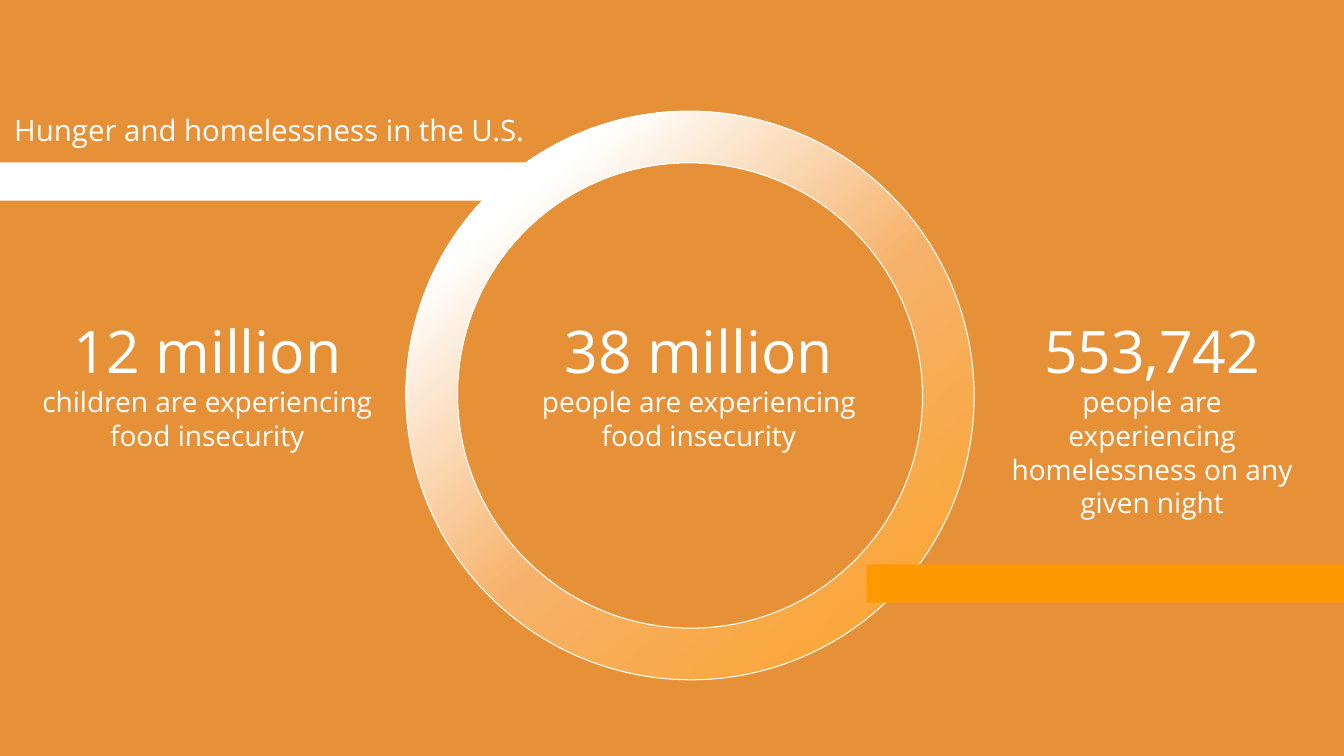
from lxml import etree
from pptx import Presentation
from pptx.dml.color import RGBColor
from pptx.enum.shapes import MSO_SHAPE
from pptx.enum.text import MSO_ANCHOR, MSO_AUTO_SIZE, PP_ALIGN
from pptx.oxml.ns import qn
from pptx.util import Cm, Pt

DONUT, RECTANGLE = MSO_SHAPE.DONUT, MSO_SHAPE.RECTANGLE
CENTER, MIDDLE = PP_ALIGN.CENTER, MSO_ANCHOR.MIDDLE
GROW = MSO_AUTO_SIZE.SHAPE_TO_FIT_TEXT

# Positions and sizes are in centimetres: left, top, width, height
TITLE = "Hunger and homelessness in the U.S."
TITLE_BOX = (0.36, 2.62, 13.44, 1.45)
STATS_TOP = 7.67
STATS = [  # figure, caption, left, width, height
    ("12 million", "children are experiencing food insecurity", 0.64, 9.17, 4.01),
    ("38 million", "people are experiencing food insecurity", 12.75, 9.73, 4.01),
    ("553,742", "people are experiencing homelessness on any given night",
     24.87, 8.33, 5.74),
]
RING_BOX = (10.24, 2.79, 14.3, 14.35)
RING_TILT = 319.8
RING_THICKNESS = 0.091
RING_STOPS = [(0, "FF9900"), (47, "F6B26B"), (73, "FFFFFF"), (100, "FFFFFF")]
BARS = [
    ((21.84, 14.22, 14.86, 0.97), "accent"),
    ((-1.9, 4.09, 15.37, 0.97), "light"),
]

THEME = {
    "font": "Open Sans",
    "background": RGBColor.from_string("E69138"),
    "accent": RGBColor.from_string("FF9900"),
    "light": RGBColor.from_string("FFFFFF"),
    "title": Pt(21),
    "figure": Pt(42),
    "caption": Pt(20),
    "outline": Pt(0.75),
}


def to_cm(box):
    return [Cm(length) for length in box]


def add_text(slide, box, lines, inset):
    """Add a wrapping text box; each line is a (text, theme size) pair."""
    frame = slide.shapes.add_textbox(*to_cm(box)).text_frame
    frame.word_wrap = True
    frame.margin_left = frame.margin_right = Cm(inset)
    frame.margin_top = frame.margin_bottom = Cm(inset)
    frame.text = "\n".join(text for text, _ in lines)
    for paragraph, (_, size) in zip(frame.paragraphs, lines):
        font = paragraph.runs[0].font
        font.name = THEME["font"]
        font.size = THEME[size]
        font.color.rgb = THEME["light"]
    return frame


def add_stat(slide, figure, caption, left, width, height):
    frame = add_text(slide, (left, STATS_TOP, width, height),
                     [(figure, "figure"), (caption, "caption")], inset=0.25)
    frame.auto_size = GROW
    for paragraph in frame.paragraphs:
        paragraph.alignment = CENTER


def add_title(slide):
    frame = add_text(slide, TITLE_BOX, [(TITLE, "title")], inset=0)
    frame.vertical_anchor = MIDDLE
    frame.paragraphs[0].line_spacing = 0.86


def add_ring(slide):
    ring = slide.shapes.add_shape(DONUT, *to_cm(RING_BOX))
    ring.shadow.inherit = False
    ring.rotation = RING_TILT
    ring.adjustments[0] = RING_THICKNESS
    ring.line.color.rgb = THEME["light"]
    ring.line.width = THEME["outline"]
    ring.fill.gradient()
    ring.fill.gradient_angle = 90
    stops = ring._element.spPr.find(qn("a:gradFill")).find(qn("a:gsLst"))
    for default_stop in list(stops):
        stops.remove(default_stop)
    for percent, color in RING_STOPS:
        stop = etree.SubElement(stops, qn("a:gs"), pos=str(percent * 1000))
        etree.SubElement(stop, qn("a:srgbClr"), val=color)


def add_bar(slide, box, color):
    bar = slide.shapes.add_shape(RECTANGLE, *to_cm(box))
    bar.shadow.inherit = False
    bar.fill.solid()
    bar.fill.fore_color.rgb = THEME[color]
    bar.line.fill.background()


def main():
    deck = Presentation()
    deck.slide_width, deck.slide_height = Cm(33.87), Cm(19.05)
    slide = deck.slides.add_slide(deck.slide_layouts[6])
    slide.background.fill.solid()
    slide.background.fill.fore_color.rgb = THEME["background"]
    for stat in STATS:
        add_stat(slide, *stat)
    add_title(slide)
    add_ring(slide)
    for box, color in BARS:
        add_bar(slide, box, color)
    deck.save("out.pptx")


if __name__ == "__main__":
    main()
